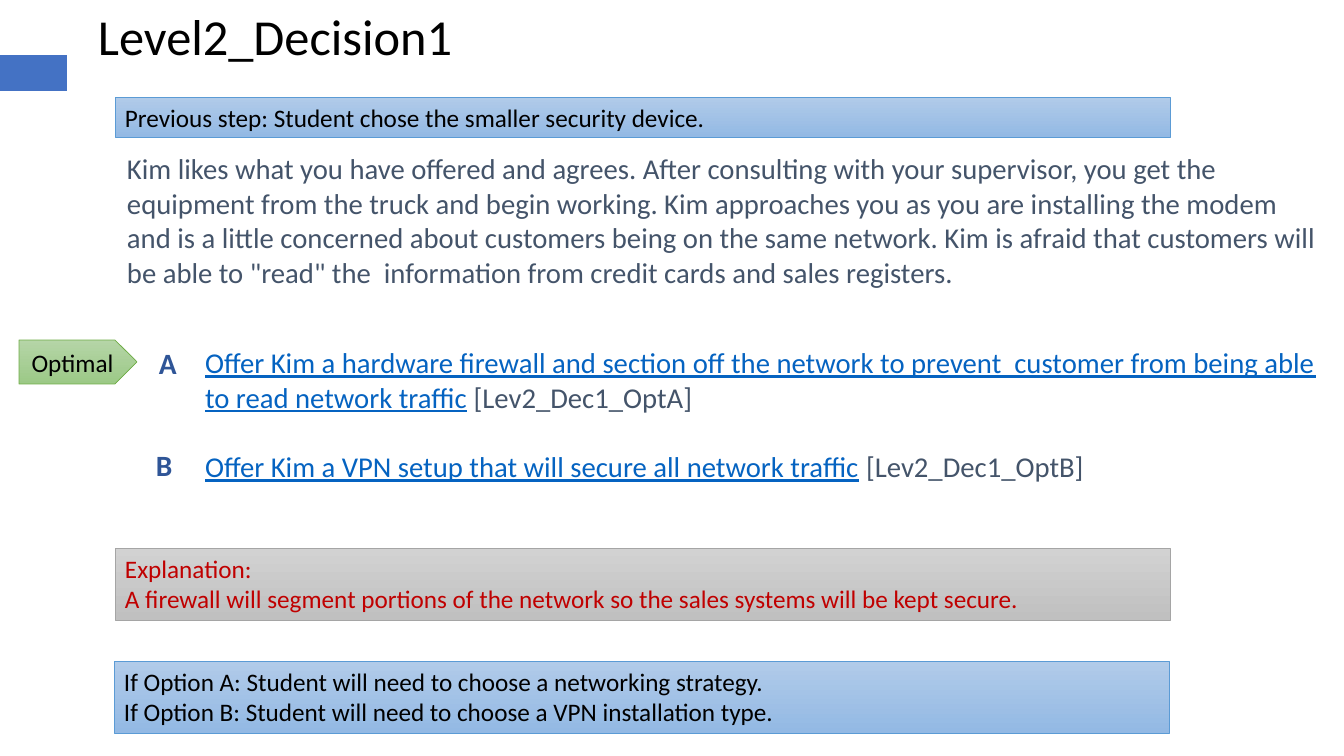
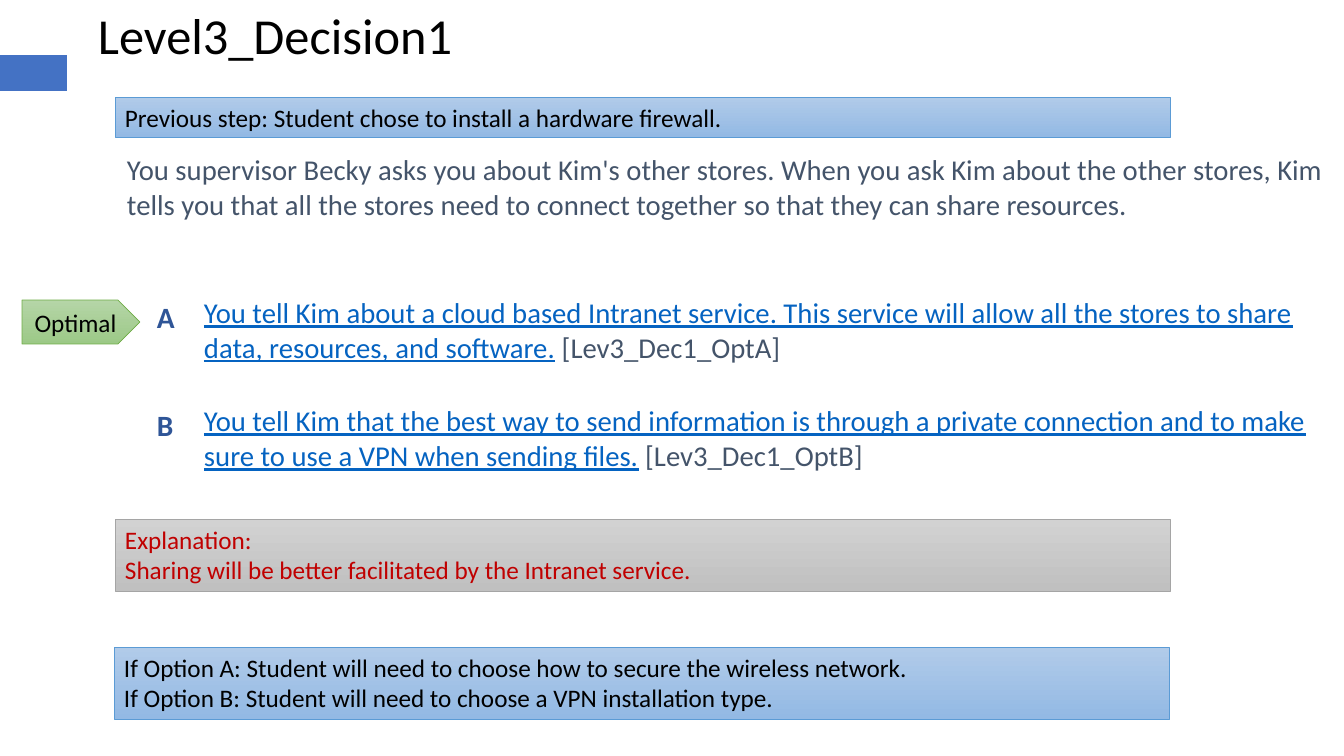
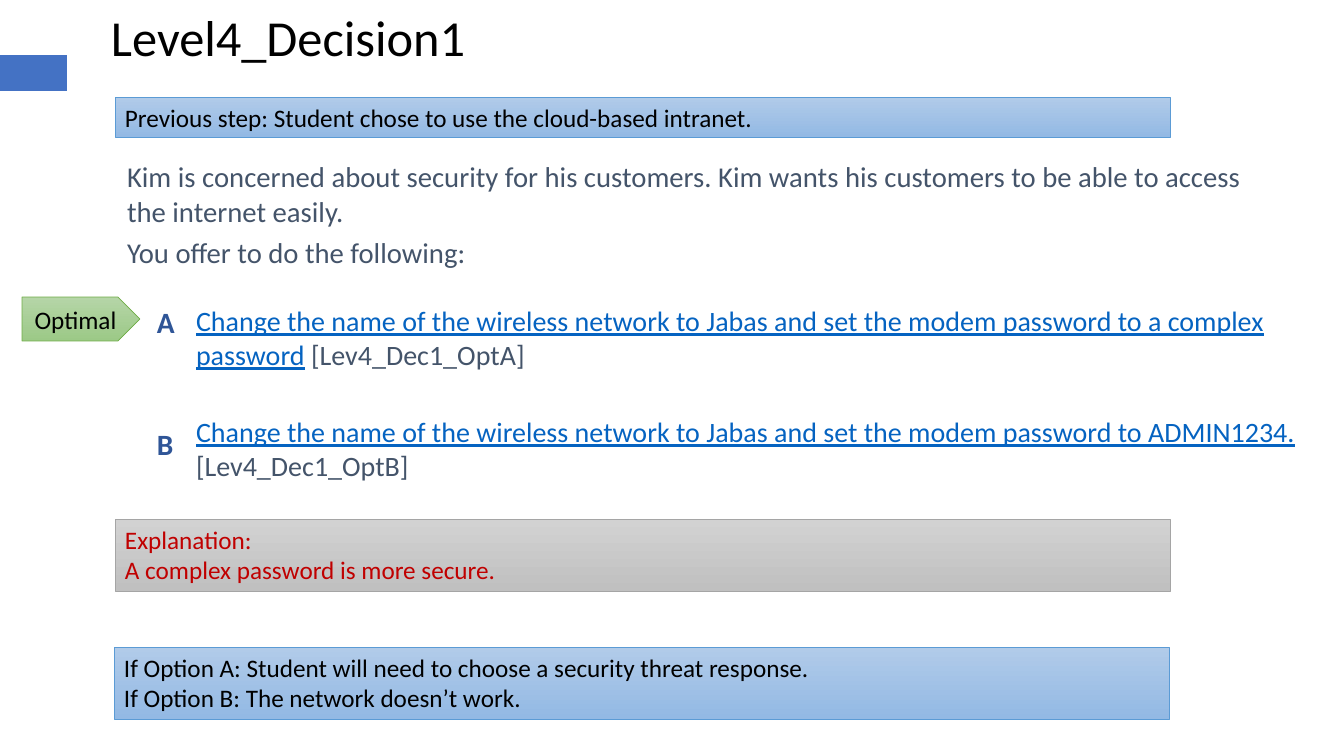
"""Build three decision slides of a branching network scenario."""
from pptx import Presentation
from pptx.dml.color import RGBColor
from pptx.enum.shapes import MSO_SHAPE as Kind
from pptx.enum.text import MSO_ANCHOR as Anchor, PP_ALIGN as Align
from pptx.util import Emu, Pt

PX = 12192000 / 1344
FONT = "Calibri"
BLACK, SLATE, LINK, NAVY, RED = "000000", "44546A", "0563C1", "2F5597", "C00000"
ACCENT = "4472C4"
BLUE = ("B1CBE9", "93B9E4", "5B9BD5")
GRAY = ("D2D2D2", "C0C0C0", "A5A5A5")
GREEN = ("B5D5A7", "9CC987", "70AD47")


def rgb(code):
    return RGBColor.from_string(code)


def write(slide, box, paras, size=18, color=BLACK, bold=False, gap=0, inset=(10, 5),
          kind=None, paint=None, align=Align.LEFT, anchor=Anchor.TOP):
    """Place text in a plain box or, given a kind, in a gradient shape."""
    area = [Emu(round(n * PX)) for n in box]
    if kind is None:
        shape = slide.shapes.add_textbox(*area)
    else:
        shape = slide.shapes.add_shape(kind, *area)
        shape.shadow.inherit = False
        shape.fill.gradient()
        shape.fill.gradient_angle = 270
        for stop, code in zip(shape.fill.gradient_stops, paint):
            stop.color.rgb = rgb(code)
        shape.line.color.rgb = rgb(paint[2])
        shape.line.width = Pt(0.5)
    frame = shape.text_frame
    frame.word_wrap = True
    frame.vertical_anchor = anchor
    frame.margin_left = frame.margin_right = Emu(round(inset[0] * PX))
    frame.margin_top = frame.margin_bottom = Emu(round(inset[1] * PX))
    for num, runs in enumerate(paras):
        para = frame.add_paragraph() if num else frame.paragraphs[0]
        para.alignment = align
        if num:
            para.space_before = Pt(gap)
        for words in [runs] if isinstance(runs, str) else runs:
            words, tint = (words, color) if isinstance(words, str) else words
            run = para.add_run()
            run.text = words
            run.font.name = FONT
            run.font.size = Pt(size)
            run.font.bold = bold
            run.font.underline = tint == LINK
            run.font.color.rgb = rgb(tint)


DECKS = [
    dict(
        level=2, title=(88, 0), prev="Student chose the smaller security device.",
        body=["Kim likes what you have offered and agrees. After consulting with your supervisor, "
              "you get the equipment from the truck and begin working. Kim approaches you as you are "
              "installing the modem and is a little concerned about customers being on the same "
              "network. Kim is afraid that customers will be able to \"read\" the  information from "
              "credit cards and sales registers."],
        story=(114, 144, 1225, 171), choice=(192, 338, 1152, 178), size=20.5, gap=25,
        picks=["Offer Kim a hardware firewall and section off the network to prevent  customer "
               "from being able to read network traffic",
               "Offer Kim a VPN setup that will secure all network traffic"],
        marks=[(146, 338), (143, 440)], best=(19, 340), why=548, then=661,
        cause="A firewall will segment portions of the network so the sales systems will be kept secure.",
        ends=["Student will need to choose a networking strategy.",
              "Student will need to choose a VPN installation type."]),
    dict(
        level=3, title=(88, -1), prev="Student chose to install a hardware firewall.",
        body=["You supervisor Becky asks you about Kim's other stores. When you ask Kim about the "
              "other stores, Kim tells you that all the stores need to connect together so that "
              "they can share resources."],
        story=(114, 145, 1230, 117), choice=(191, 288, 1153, 205), size=20.5, gap=28,
        picks=["You tell Kim about a cloud based Intranet service. This service will allow all the "
               "stores to share data, resources, and software.",
               "You tell Kim that the best way to send information is through a private connection "
               "and to make sure to use a VPN when sending files."],
        marks=[(144, 292), (144, 400)], best=(22, 300), why=519, then=647,
        cause="Sharing will be better facilitated by the Intranet service.",
        ends=["Student will need to choose how to secure the wireless network.",
              "Student will need to choose a VPN installation type."]),
    dict(
        level=4, title=(101, 1), prev="Student chose to use the cloud-based intranet.",
        body=["Kim is concerned about security for his customers. Kim wants his customers to be "
              "able to access the internet easily.",
              "You offer to do the following:"],
        story=(114, 152, 1161, 135), choice=(183, 297, 1161, 219), size=20, gap=31,
        picks=["Change the name of the wireless network to Jabas and set the modem password to a "
               "complex password",
               "Change the name of the wireless network to Jabas and set the modem password to "
               "ADMIN1234."],
        marks=[(144, 297), (144, 419)], best=(22, 297), why=519, then=647,
        cause="A complex password is more secure.",
        ends=["Student will need to choose a security threat response.",
              "The network doesn’t work."]),
]

deck = Presentation()
deck.slide_width, deck.slide_height = Emu(12192000), Emu(6858000)
WIDE = (13, 7)

for data in DECKS:
    slide = deck.slides.add_slide(deck.slide_layouts[6])
    level = data["level"]
    tab = slide.shapes.add_shape(Kind.RECTANGLE, *[Emu(round(n * PX)) for n in (0, 55, 67, 36)])
    tab.shadow.inherit = False
    tab.fill.solid()
    tab.fill.fore_color.rgb = rgb(ACCENT)
    tab.line.fill.background()

    write(slide, data["story"], data["body"], size=20.5, color=SLATE, gap=5, inset=WIDE)
    picks = [[(pick, LINK), (f" [Lev{level}_Dec1_Opt{key}]", SLATE)]
             for key, pick in zip("AB", data["picks"])]
    write(slide, data["choice"], picks, size=data["size"], gap=data["gap"], inset=WIDE)
    for key, spot in zip("AB", data["marks"]):
        write(slide, (*spot, 70, 44), [key], size=21, color=NAVY, bold=True, inset=WIDE)

    write(slide, (*data["title"], 400, 71), [f"Level{level}_Decision1"], size=36)
    write(slide, (115, 97, 1055, 40), ["Previous step: " + data["prev"]],
          kind=Kind.RECTANGLE, paint=BLUE)
    write(slide, (115, data["why"], 1055, 72), ["Explanation:", data["cause"]],
          color=RED, kind=Kind.RECTANGLE, paint=GRAY)
    write(slide, (*data["best"], 118, 44), ["Optimal"], kind=Kind.PENTAGON, paint=GREEN,
          align=Align.CENTER, anchor=Anchor.MIDDLE)
    ends = [f"If Option {key}: {end}" for key, end in zip("AB", data["ends"])]
    write(slide, (114, data["then"], 1055, 72), ends, kind=Kind.RECTANGLE, paint=BLUE)

deck.save("out.pptx")
